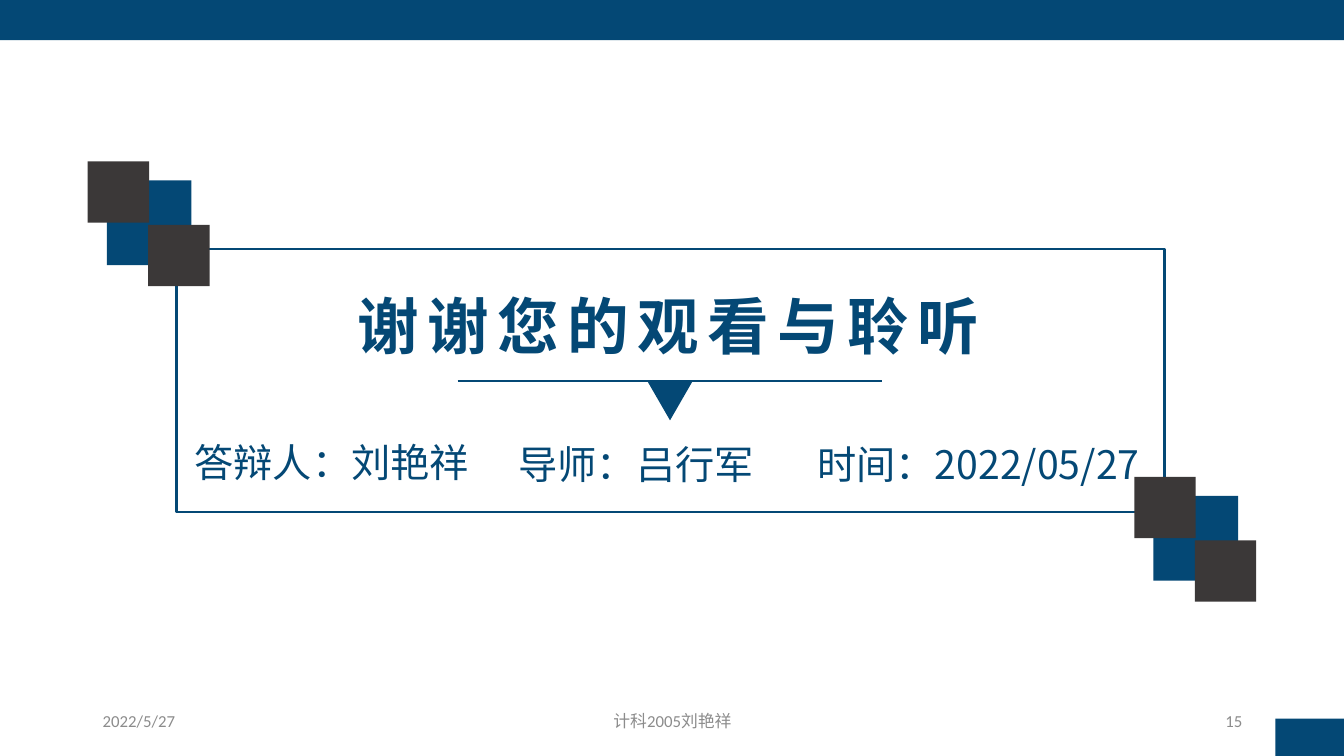
from lxml import etree
from pptx import Presentation
from pptx import util as u
from pptx.dml import color
from pptx.enum import shapes, text
from pptx.oxml import ns

WIDTH, HEIGHT = 13.33, 7.5
BLUE, DARK, GREY = "044875", "3B3838", "8C8C8C"
CJK = "Noto Sans CJK SC"
ALIGN = text.PP_ALIGN
ANCHOR = text.MSO_ANCHOR


def paint(target, hex_code):
    """Give a fill, line fill or font fill one solid colour."""
    target.solid()
    target.fore_color.rgb = color.RGBColor.from_string(hex_code)


def add_block(page, left, top, width, height, fill=None, line=None,
              kind=shapes.MSO_SHAPE.RECTANGLE):
    block = page.shapes.add_shape(kind, *map(u.Inches, (left, top, width, height)))
    block.shadow.inherit = False
    if fill:
        paint(block.fill, fill)
    else:
        block.fill.background()
    if line:
        paint(block.line.fill, line)
        block.line.width = u.Pt(2)
    else:
        block.line.fill.background()
    return block


def add_rule(page, left, right, top):
    rule = page.shapes.add_connector(
        shapes.MSO_CONNECTOR.STRAIGHT, *map(u.Inches, (left, top, right, top)))
    paint(rule.line.fill, BLUE)
    rule.line.width = u.Pt(2)
    etree.SubElement(rule._element.spPr, ns.qn("a:effectLst"))


def add_checkers(page, left, top):
    """One blue square with a dark square over two opposite corners."""
    add_block(page, left + 0.19, top + 0.19, 0.84, 0.84, fill=BLUE)
    for step in (0, 1):
        add_block(page, left + 0.6 * step, top + 0.63 * step, 0.61, 0.61, fill=DARK)


def write(box, words, size, hex_code=BLUE, font=CJK, align=ALIGN.CENTER,
          anchor=ANCHOR.TOP, bold=False, spacing=0):
    frame = box.text_frame
    frame.word_wrap = True
    frame.auto_size = text.MSO_AUTO_SIZE.NONE
    frame.vertical_anchor = anchor
    para = frame.paragraphs[0]
    para.alignment = align
    span = para.add_run()
    span.text = words
    span.font.size, span.font.bold, span.font.name = u.Pt(size), bold, font
    paint(span.font.fill, hex_code)
    properties = span.font._element
    etree.SubElement(properties, ns.qn("a:ea"), typeface=CJK)
    if spacing:
        properties.set("spc", str(spacing * 100))


def add_text(page, words, left, top, width, height, **style):
    box = page.shapes.add_textbox(*map(u.Inches, (left, top, width, height)))
    write(box, words, **style)


def main():
    deck = Presentation()
    deck.slide_width, deck.slide_height = u.Inches(WIDTH), u.Inches(HEIGHT)
    page = deck.slides.add_slide(deck.slide_layouts[5])

    # Title
    title = page.shapes.title
    title.left, title.top, title.width, title.height = map(
        u.Inches, (2.16, 2.81, 8.94, 0.84))
    write(title, "谢谢您的观看与聆听", size=44, bold=True, spacing=6)

    # Divider with its pointer
    add_rule(page, 4.54, 8.75, 3.78)
    pointer = add_block(page, 6.42, 3.78, 0.45, 0.39, fill=BLUE,
                        kind=shapes.MSO_SHAPE.ISOSCELES_TRIANGLE)
    pointer.rotation = 180

    # Frame and corner ornaments
    add_block(page, 1.75, 2.47, 9.8, 2.61, line=BLUE)
    add_checkers(page, 11.25, 4.73)
    add_checkers(page, 0.87, 1.6)

    # Page bands
    add_block(page, 0, 0, WIDTH, 0.4, fill=BLUE)
    add_block(page, WIDTH - 0.68, HEIGHT - 0.37, 0.68, 0.37, fill=BLUE)

    # Speaker, tutor and date
    for words, left, top, width in (("答辩人：刘艳祥", 1.67, 4.3, 3.24),
                                    ("导师：吕行军", 4.91, 4.32, 2.8),
                                    ("时间：2022/05/27", 7.79, 4.32, 3.83)):
        add_text(page, words, left, top, width, 0.57, size=28)

    # Footer
    for words, left, width, align in (("2022/5/27", 0.92, 3, ALIGN.LEFT),
                                      ("计科2005刘艳祥", 4.42, 4.5, ALIGN.CENTER),
                                      ("15", 9.42, 3, ALIGN.RIGHT)):
        add_text(page, words, left, 6.95, width, 0.4, size=12, hex_code=GREY,
                 font="Calibri", align=align, anchor=ANCHOR.MIDDLE)

    deck.save("out.pptx")


if __name__ == "__main__":
    main()
